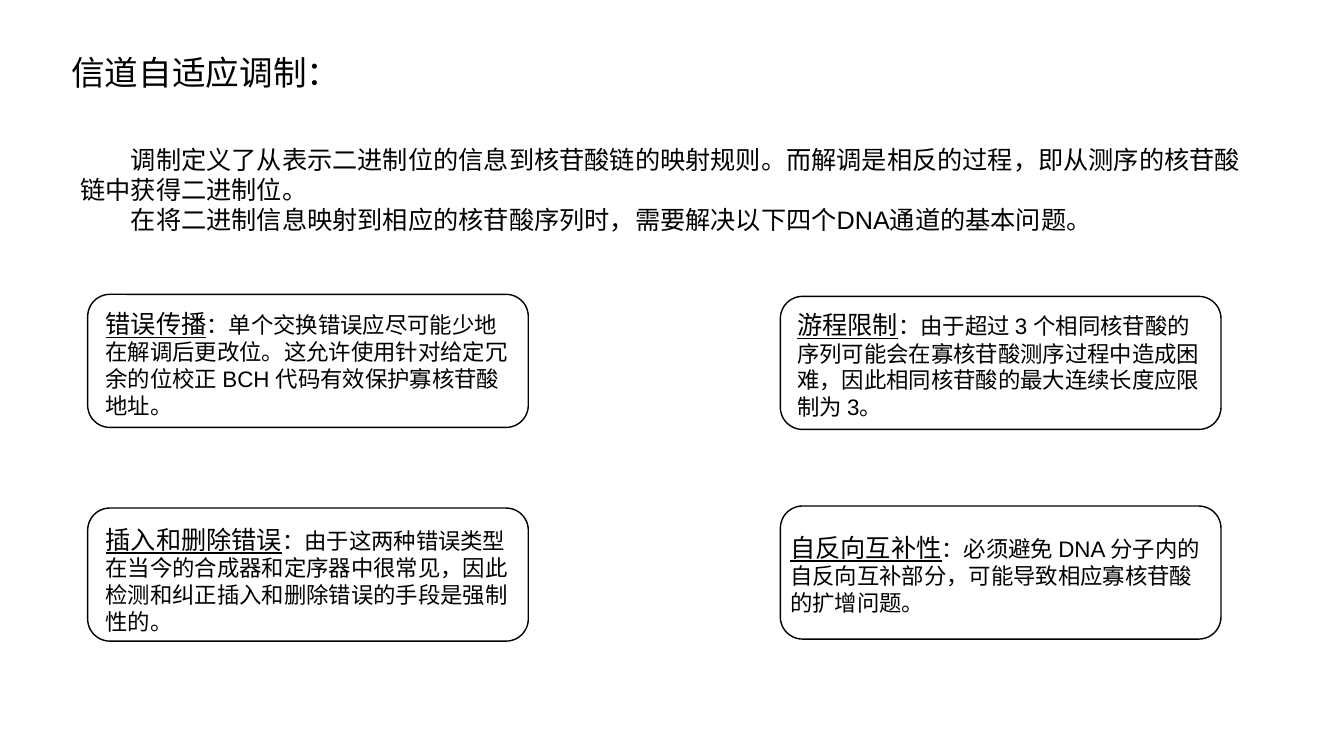
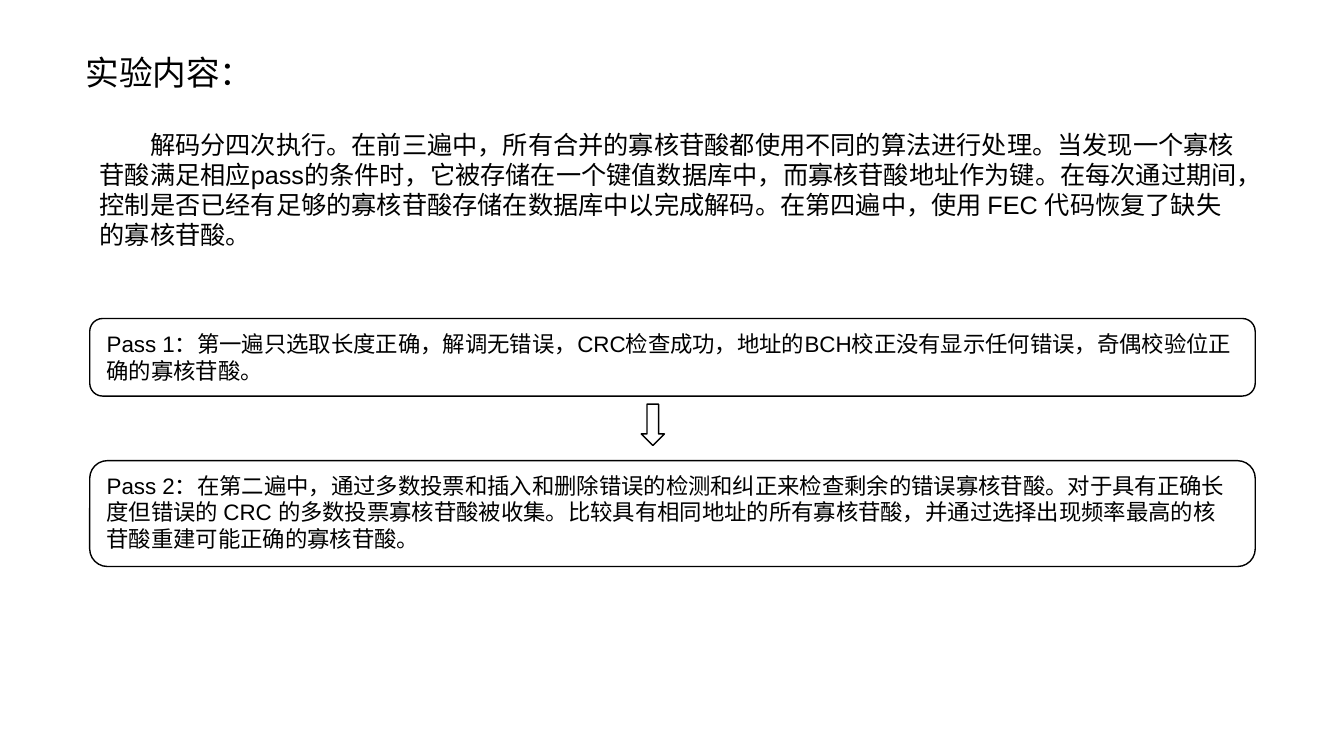
from lxml import etree
from pptx import Presentation
from pptx.dml.color import RGBColor
from pptx.enum import shapes, text
from pptx.oxml.ns import qn
from pptx.util import Inches, Pt

BLACK = RGBColor(0, 0, 0)
LATIN_FONT = "Arial"
CJK_FONT = "Noto Sans CJK SC"
TITLE_SIZE, BODY_SIZE, NOTE_SIZE = 24, 18, 16

# Frame left and top, text box position and size, underlined term, explanation
ISSUES = [
    ((0.87, 2.92), (0.95, 3.01, 4.23, 1.21), "错误传播",
     "：单个交换错误应尽可能少地在解调后更改位。这允许使用针对给定冗余的位校正 BCH 代码有效保护寡核苷酸地址。"),
    ((7.74, 2.94), (7.81, 3.02, 4.23, 1.21), "游程限制",
     "：由于超过 3 个相同核苷酸的序列可能会在寡核苷酸测序过程中造成困难，因此相同核苷酸的最大连续长度应限制为 3。"),
    ((0.87, 5.04), (0.95, 5.15, 4.23, 1.21), "插入和删除错误",
     "：由于这两种错误类型在当今的合成器和定序器中很常见，因此检测和纠正插入和删除错误的手段是强制性的。"),
    ((7.74, 5.02), (7.74, 5.23, 4.37, 0.94), "自反向互补性",
     "：必须避免 DNA 分子内的自反向互补部分，可能导致相应寡核苷酸的扩增问题。"),
]

# Frame top and height, text top and height, text
PASSES = [
    (3.16, 0.77, 3.23, 0.64,
     "Pass 1：第一遍只选取长度正确，解调无错误，CRC检查成功，地址的BCH校正没有显示任何错误，奇偶校验位正确的寡核苷酸。"),
    (4.57, 1.05, 4.63, 0.91,
     "Pass 2：在第二遍中，通过多数投票和插入和删除错误的检测和纠正来检查剩余的错误寡核苷酸。"
     "对于具有正确长度但错误的 CRC 的多数投票寡核苷酸被收集。比较具有相同地址的所有寡核苷酸，"
     "并通过选择出现频率最高的核苷酸重建可能正确的寡核苷酸。"),
]


class Deck:
    def __init__(self):
        self.prs = Presentation()
        self.prs.slide_width, self.prs.slide_height = Inches(13.33), Inches(7.5)
        self.s = None

    def new_slide(self, title, left, width):
        self.s = self.prs.slides.add_slide(self.prs.slide_layouts[6])
        tf = self.text_box(left, 0.47, width, 0.5)
        p = self.paragraph(tf.paragraphs[0], TITLE_SIZE)
        p.add_run().text = title
        colon = p.add_run()
        colon.text = "："
        colon.font.name = CJK_FONT

    def text_box(self, left, top, width, height):
        sp = self.s.shapes.add_textbox(*map(Inches, (left, top, width, height)))
        tf = sp.text_frame
        tf.word_wrap = True
        tf.auto_size = text.MSO_AUTO_SIZE.SHAPE_TO_FIT_TEXT
        return tf

    def paragraph(self, p, size=None, indent=0):
        """Apply the shared font, and a first-line indent, to a paragraph."""
        p.font.name = LATIN_FONT
        p.font.color.rgb = BLACK
        if size:
            p.font.size = Pt(size)
        pPr = p._p.get_or_add_pPr()
        if indent:
            pPr.set("indent", str(Inches(indent)))
        etree.SubElement(pPr.find(qn("a:defRPr")), qn("a:ea"), typeface=CJK_FONT)
        return p

    def body(self, at, paragraphs, size=BODY_SIZE, indent=0.5):
        tf = self.text_box(*at)
        for i, words in enumerate(paragraphs):
            p = tf.add_paragraph() if i else tf.paragraphs[0]
            self.paragraph(p, size, indent).add_run().text = words

    def definition(self, at, term, explanation):
        """Write an underlined term followed by its explanation."""
        p = self.paragraph(self.text_box(*at).paragraphs[0])
        for words, size in ((term, BODY_SIZE), (explanation, NOTE_SIZE)):
            r = p.add_run()
            r.text = words
            r.font.size = Pt(size)
            r.font.underline = words == term

    def outline(self, kind, left, top, width, height):
        sp = self.s.shapes.add_shape(kind, *map(Inches, (left, top, width, height)))
        sp.shadow.inherit = False
        sp.fill.background()
        sp.line.color.rgb = BLACK
        sp.line.width = Pt(1)


def modulation_slide(deck):
    deck.new_slide("信道自适应调制", 0.61, 4.74)
    deck.body((0.7, 1.38, 11.75, 1.01), [
        "调制定义了从表示二进制位的信息到核苷酸链的映射规则。而解调是相反的过程，即从测序的核苷酸链中获得二进制位。",
        "在将二进制信息映射到相应的核苷酸序列时，需要解决以下四个DNA通道的基本问题。",
    ])
    for corner, text_at, term, explanation in ISSUES:
        deck.outline(shapes.MSO_SHAPE.ROUNDED_RECTANGLE, *corner, 4.37, 1.32)
        deck.definition(text_at, term, explanation)


def experiment_slide(deck):
    deck.new_slide("实验内容", 0.75, 2.68)
    deck.body((0.89, 1.23, 11.56, 1.31), [
        "解码分四次执行。在前三遍中，所有合并的寡核苷酸都使用不同的算法进行处理。"
        "当发现一个寡核苷酸满足相应pass的条件时，它被存储在一个键值数据库中，而寡核苷酸地址作为键。"
        "在每次通过期间，控制是否已经有足够的寡核苷酸存储在数据库中以完成解码。"
        "在第四遍中，使用 FEC 代码恢复了缺失的寡核苷酸。",
    ])
    for top, height, text_top, text_height, words in PASSES:
        deck.outline(shapes.MSO_SHAPE.ROUNDED_RECTANGLE, 0.89, top, 11.56, height)
        deck.body((0.96, text_top, 11.4, text_height), [words], NOTE_SIZE, 0)
    deck.outline(shapes.MSO_SHAPE.DOWN_ARROW, 6.36, 4.01, 0.23, 0.41)


def main():
    deck = Deck()
    modulation_slide(deck)
    experiment_slide(deck)
    deck.prs.save("out.pptx")


if __name__ == "__main__":
    main()
